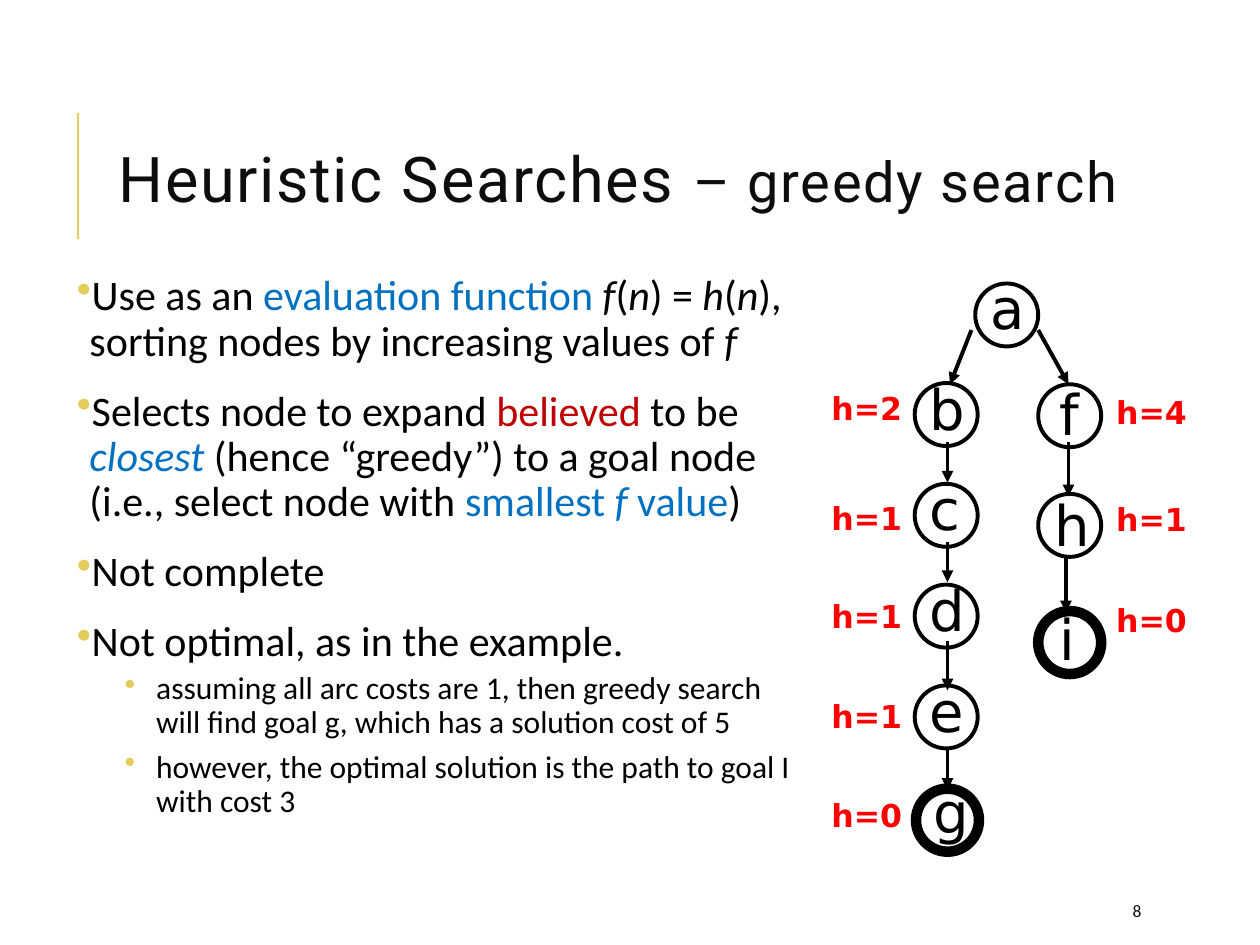
import pptx
import pptx.dml.color
import pptx.enum.shapes
import pptx.enum.text
import pptx.oxml.ns
import pptx.util
from lxml import etree
from pptx.util import Inches

RGBColor = pptx.dml.color.RGBColor
BLACK = RGBColor(0x00, 0x00, 0x00)
INK = RGBColor(0x0D, 0x0D, 0x0D)
GOLD = RGBColor(0xE3, 0xCC, 0x5A)
BLUE = RGBColor(0x00, 0x70, 0xC0)
DARK_RED = RGBColor(0xC0, 0x00, 0x00)
RED = RGBColor(0xFF, 0x00, 0x00)

POINTS = [
    (0, [("Use as an ", BLACK, False), ("evaluation function ", BLUE, False),
         ("f", BLACK, True), ("(", BLACK, False), ("n", BLACK, True),
         (") = ", BLACK, False), ("h", BLACK, True), ("(", BLACK, False),
         ("n", BLACK, True), ("), sorting nodes by increasing values of ", BLACK, False),
         ("f", BLACK, True)]),
    (0, [("Selects node to expand ", BLACK, False), ("believed", DARK_RED, False),
         (" to be ", BLACK, False), ("closest ", BLUE, True),
         ("(hence “greedy”) to a goal node (i.e., select node with ", BLACK, False),
         ("smallest ", BLUE, False), ("f ", BLUE, True), ("value", BLUE, False),
         (")", BLACK, False)]),
    (0, [("Not complete", BLACK, False)]),
    (0, [("Not optimal, as in the example.", BLACK, False)]),
    (1, [("assuming all arc costs are 1, then greedy search will find goal g, "
          "which has a solution cost of 5", BLACK, False)]),
    (1, [("however, the optimal solution is the path to goal I with cost 3", BLACK, False)]),
]
LEVELS = [
    {"size": 24, "margin": 0.1, "hang": 0.1, "before": 12, "after": 2},
    {"size": 18, "margin": 0.63, "hang": 0.25, "before": 2, "after": 4},
]

# letter, circle left and top, letter offset across and down, letter width, is goal
NODES = [
    ("a", 1.24, 0.13, 0.02, -0.13, 0.53, False),
    ("f", 1.74, 0.93, 0.07, -0.09, 0.45, False),
    ("b", 0.76, 0.92, 0.02, -0.12, 0.51, False),
    ("c", 0.76, 1.72, 0.02, -0.12, 0.46, False),
    ("d", 0.76, 2.52, 0.02, -0.12, 0.51, False),
    ("e", 0.76, 3.32, 0.02, -0.12, 0.5, False),
    ("g", 0.77, 4.14, 0.04, -0.14, 0.48, True),
    ("h", 1.74, 1.8, 0.03, -0.08, 0.49, False),
    ("i", 1.74, 2.73, 0.07, -0.1, 0.32, True),
]
ARCS = [
    (1.21, 0.5, 1.04, 0.93), (1.74, 0.5, 1.98, 0.93),
    (1.02, 1.39, 1.02, 1.71), (1.02, 2.18, 1.02, 2.5),
    (1.02, 2.97, 1.02, 3.36), (1.02, 3.83, 1.02, 4.15),
    (1.98, 1.39, 1.98, 1.82), (1.96, 2.3, 1.96, 2.74),
]
ESTIMATES = [
    (0, [("h=2", 0.92), ("h=1", 1.79), ("h=1", 2.57), ("h=1", 3.36), ("h=0", 4.15)]),
    (2.26, [("h=4", 0.95), ("h=1", 1.8), ("h=0", 2.6)]),
]


def add_element(parent, tag, **attributes):
    """Append a DrawingML element and return it."""
    return etree.SubElement(parent, pptx.oxml.ns.qn(tag), attributes)


def add_line(shapes, ends, color, width, arrow=False):
    """Draw a straight line, with an arrowhead at its end if asked."""
    line = shapes.add_connector(
        pptx.enum.shapes.MSO_CONNECTOR.STRAIGHT, *[Inches(value) for value in ends])
    line.line.color.rgb = color
    line.line.width = pptx.util.Pt(width)
    if arrow:
        add_element(line.line._get_or_add_ln(), "a:tailEnd", type="triangle")
    add_element(line._element.spPr, "a:effectLst")


def add_text(shapes, box, text, font, size, color, bold=False, wrap=True):
    """Place a one-line text box and return its frame."""
    frame = shapes.add_textbox(*[Inches(value) for value in box]).text_frame
    frame.word_wrap = wrap
    para = frame.paragraphs[0]
    para.text = text
    para.font.name = font
    para.font.size = pptx.util.Pt(size)
    para.font.bold = bold
    para.font.color.rgb = color
    return frame


def add_heading(page, box):
    """Format the title and draw the rule to its left."""
    left, top, width, height = box
    title = page.shapes.title
    title.left, title.top, title.width, title.height = [Inches(value) for value in box]
    frame = title.text_frame
    frame.auto_size = pptx.enum.text.MSO_AUTO_SIZE.NONE
    frame.vertical_anchor = pptx.enum.text.MSO_ANCHOR.MIDDLE
    para = frame.paragraphs[0]
    para.alignment = pptx.enum.text.PP_ALIGN.LEFT
    para.line_spacing = 0.8
    para.font.name = "Roboto"
    para.font.color.rgb = INK
    for text, size in [("Heuristic Searches ", 36), ("– greedy search", 32)]:
        span = para.add_run()
        span.text = text
        span.font.size = pptx.util.Pt(size)
        span.font._element.set("spc", "100")
    rule = left - 0.22
    add_line(page.shapes, (rule, top + 1.26, rule, top + 0.26), GOLD, 1.5)


def add_points(page, box):
    """Write the bulleted points at two levels."""
    frame = page.shapes.add_textbox(*[Inches(value) for value in box]).text_frame
    frame.word_wrap = True
    frame.margin_left = frame.margin_right = Inches(0.05)
    for number, (level, spans) in enumerate(POINTS):
        style = LEVELS[level]
        para = frame.add_paragraph() if number else frame.paragraphs[0]
        para.level = level
        para.line_spacing = 0.9
        para.space_before = pptx.util.Pt(style["before"])
        para.space_after = pptx.util.Pt(style["after"])
        para.font.name = "Calibri"
        para.font.size = pptx.util.Pt(style["size"])
        properties = para._element.get_or_add_pPr()
        properties.set("marL", str(Inches(style["margin"])))
        properties.set("indent", str(-Inches(style["hang"])))
        bullet = etree.Element(pptx.oxml.ns.qn("a:buClr"))
        add_element(bullet, "a:srgbClr", val=str(GOLD))
        character = etree.Element(pptx.oxml.ns.qn("a:buChar"), char="•")
        defaults = properties.find(pptx.oxml.ns.qn("a:defRPr"))
        defaults.addprevious(bullet)
        defaults.addprevious(character)
        for text, color, italic in spans:
            span = para.add_run()
            span.text = text
            span.font.color.rgb = color
            span.font.italic = italic


def add_tree(page, box):
    """Draw the search tree with its nodes, arcs and estimates."""
    left, top = box[:2]
    for letter, across, down, shift, rise, width, goal in NODES:
        node = page.shapes.add_group_shape().shapes
        circle = node.add_shape(
            pptx.enum.shapes.MSO_SHAPE.OVAL, Inches(left + across), Inches(top + down),
            Inches(0.5), Inches(0.5))
        circle.shadow.inherit = False
        circle.fill.background()
        circle.line.color.rgb = BLACK
        circle.line.width = pptx.util.Pt(6 if goal else 2.25)
        add_text(node, (left + across + shift, top + down + rise, width, 0.64),
                 letter, "DejaVu Sans", 32, BLACK)
    for start_x, start_y, end_x, end_y in ARCS:
        add_line(page.shapes, (left + start_x, top + start_y, left + end_x, top + end_y),
                 BLACK, 2.25, arrow=True)
    for across, labels in ESTIMATES:
        for text, down in labels:
            add_text(page.shapes, (left + across, top + down, 0.78, 0.4),
                     text, "DejaVu Sans", 18, RED, bold=True, wrap=False)


def add_page_number(page, box):
    """Write the page number."""
    frame = add_text(page.shapes, box, "8", "Calibri", 10, INK)
    frame.vertical_anchor = pptx.enum.text.MSO_ANCHOR.MIDDLE


def main():
    """Build and save the deck."""
    deck = pptx.Presentation()
    deck.slide_width, deck.slide_height = Inches(10), Inches(7.5)
    page = deck.slides.add_slide(deck.slide_layouts.get_by_name("Title Only"))
    add_heading(page, (0.84, 0.64, 8.96, 1.64))
    add_points(page, (0.56, 2.13, 5.79, 4.73))
    add_page_number(page, (8.89, 7.08, 0.8, 0.3))
    add_tree(page, (6.5, 2.12, 3.04, 4.64))
    deck.save("out.pptx")


if __name__ == "__main__":
    main()
